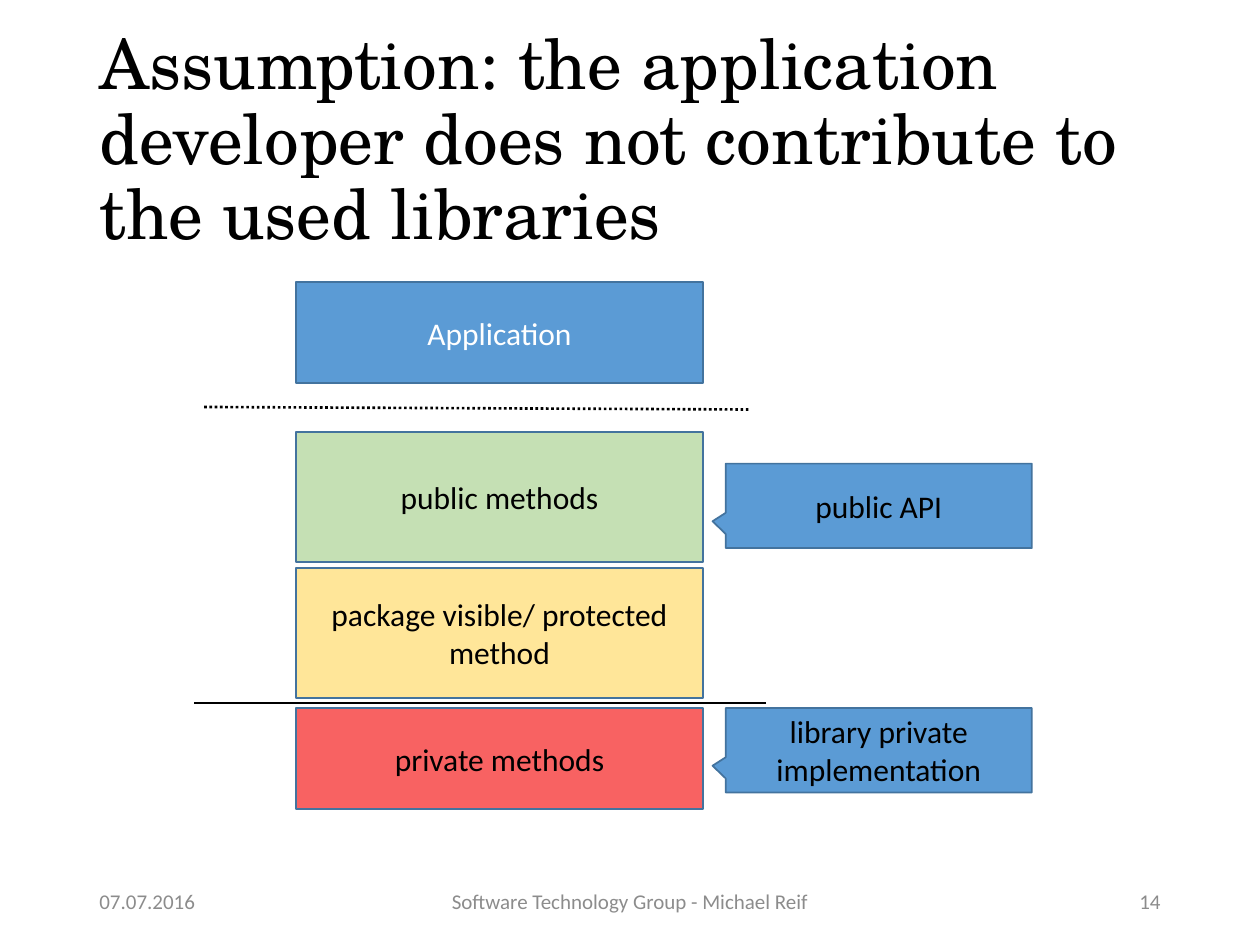
from dataclasses import dataclass

from lxml import etree
from pptx import Presentation
from pptx.dml.color import RGBColor
from pptx.enum import dml, shapes, text
from pptx.oxml.ns import qn
from pptx.util import Inches, Pt


@dataclass(frozen=True)
class Theme:
    head: str = "TeX Gyre Schola"
    body: str = "Calibri"
    black: str = "000000"
    white: str = "FFFFFF"
    gray: str = "8C8C8C"
    blue: str = "5B9BD5"
    edge: str = "43739E"
    green: str = "C5E0B4"
    sand: str = "FFE699"
    red: str = "F86262"
    title: float = 39.6
    label: float = 18
    small: float = 12


THEME = Theme()
ALIGN = text.PP_ALIGN
KIND = shapes.MSO_SHAPE


def rgb(color):
    return RGBColor.from_string(color)


def write(shape, words, size=THEME.label, font=THEME.body, color=THEME.black,
          align=ALIGN.CENTER, spacing=None):
    frame = shape.text_frame
    frame.word_wrap = True
    frame.auto_size = text.MSO_AUTO_SIZE.NONE
    frame.vertical_anchor = text.MSO_ANCHOR.MIDDLE
    para = frame.paragraphs[0]
    para.alignment = align
    para.line_spacing = spacing
    run = para.add_run()
    run.text = words
    run.font.size = Pt(size)
    run.font.name = font
    run.font.color.rgb = rgb(color)


def add_box(slide, words, box, fill, color=THEME.black, kind=KIND.RECTANGLE):
    shape = slide.shapes.add_shape(kind, *map(Inches, box))
    shape.shadow.inherit = False
    shape.fill.solid()
    shape.fill.fore_color.rgb = rgb(fill)
    shape.line.color.rgb = rgb(THEME.edge)
    shape.line.width = Pt(1)
    write(shape, words, color=color)
    return shape


def add_line(slide, start, end, dash=None):
    line = slide.shapes.add_connector(
        shapes.MSO_CONNECTOR.STRAIGHT, *map(Inches, start + end))
    line.line.color.rgb = rgb(THEME.black)
    line.line.width = Pt(1.5)
    if dash:
        line.line.dash_style = dash
    etree.SubElement(line._element.spPr, qn("a:effectLst"))


def add_title(slide, words, box):
    title = slide.shapes.title
    title.left, title.top, title.width, title.height = map(Inches, box)
    write(title, words, THEME.title, THEME.head, align=ALIGN.LEFT, spacing=0.9)


def add_stack(slide, box):
    """Draw the layers of methods and the borders between them."""
    left, top, width = box
    layers = [
        ("private methods", 3.38, 0.8, THEME.red, THEME.black),
        ("package visible/ protected method", 2.27, 1.03, THEME.sand, THEME.black),
        ("public methods", 1.19, 1.03, THEME.green, THEME.black),
        ("Application", 0, 0.8, THEME.blue, THEME.white),
    ]
    for words, drop, height, fill, color in layers:
        add_box(slide, words, (left, top + drop, width, height), fill, color)
    right = left + width
    add_line(slide, (right + 0.5, top + 3.34), (left - 0.81, top + 3.34))
    add_line(slide, (right + 0.36, top + 1.01), (left - 0.74, top + 0.99),
             dml.MSO_LINE.ROUND_DOT)


def add_notes(slide, box):
    """Draw the callouts that point back at the stack."""
    left, top, width, height = box
    for words, drop in [("library private implementation", 1.94),
                        ("public API", 0)]:
        note = add_box(slide, words, (left, top + drop, width, height),
                       THEME.blue, kind=KIND.RECTANGULAR_CALLOUT)
        note.adjustments[0] = -0.543
        note.adjustments[1] = 0.183


def add_footer(slide, box):
    left, top, width, height = box
    side, mid = 2.25, 3.38
    parts = [
        ("07.07.2016", left, side, ALIGN.LEFT),
        ("Software Technology Group - Michael Reif",
         left + (width - mid) / 2, mid, ALIGN.CENTER),
        ("14", left + width - side, side, ALIGN.RIGHT),
    ]
    for words, start, span, align in parts:
        area = slide.shapes.add_textbox(*map(Inches, (start, top, span, height)))
        write(area, words, THEME.small, color=THEME.gray, align=align)


def main():
    deck = Presentation()
    deck.slide_width, deck.slide_height = Inches(10), Inches(7.5)
    slide = deck.slides.add_slide(deck.slide_layouts[5])
    slide.background.fill.solid()
    slide.background.fill.fore_color.rgb = rgb(THEME.white)
    add_title(slide, "Assumption: the application developer does not "
              "contribute to the used libraries", (0.69, 0.4, 8.62, 1.45))
    add_footer(slide, (0.69, 6.95, 8.62, 0.4))
    add_stack(slide, (2.35, 2.24, 3.23))
    add_notes(slide, (5.76, 3.68, 2.43, 0.67))
    deck.save("out.pptx")


if __name__ == "__main__":
    main()
